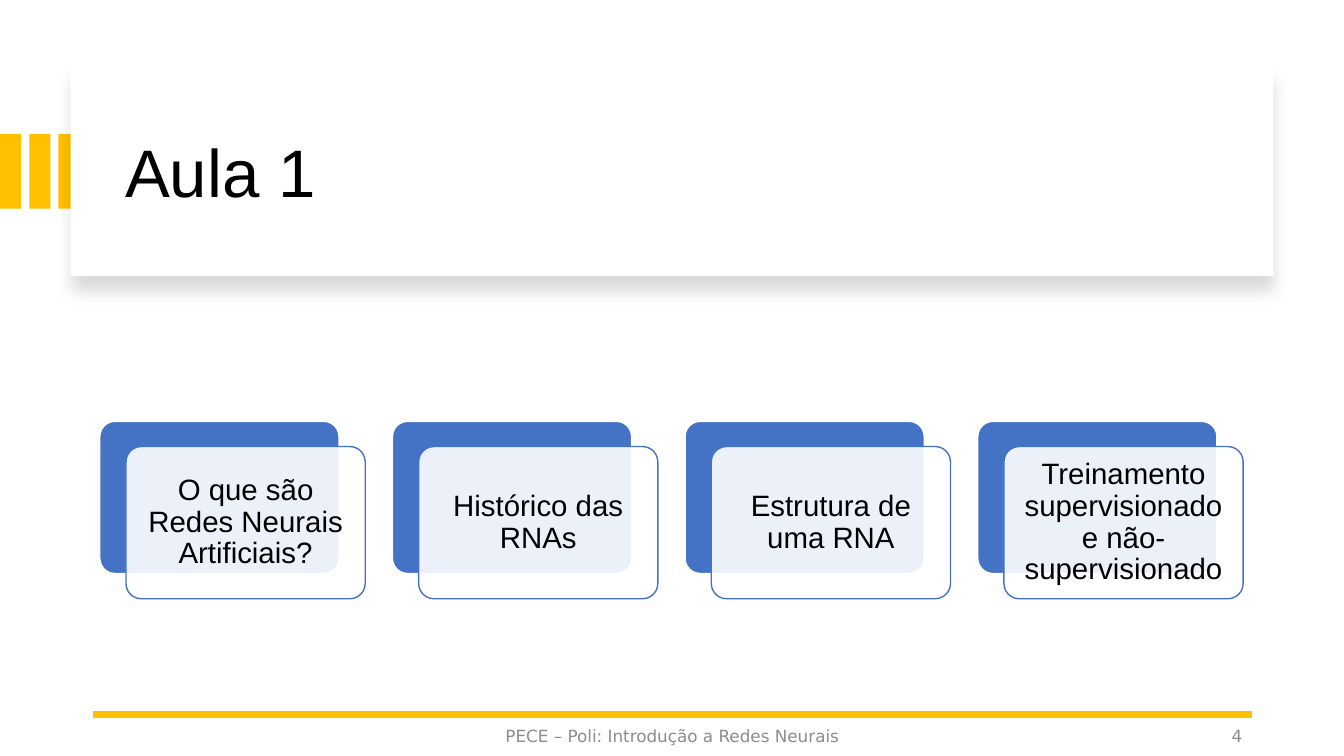
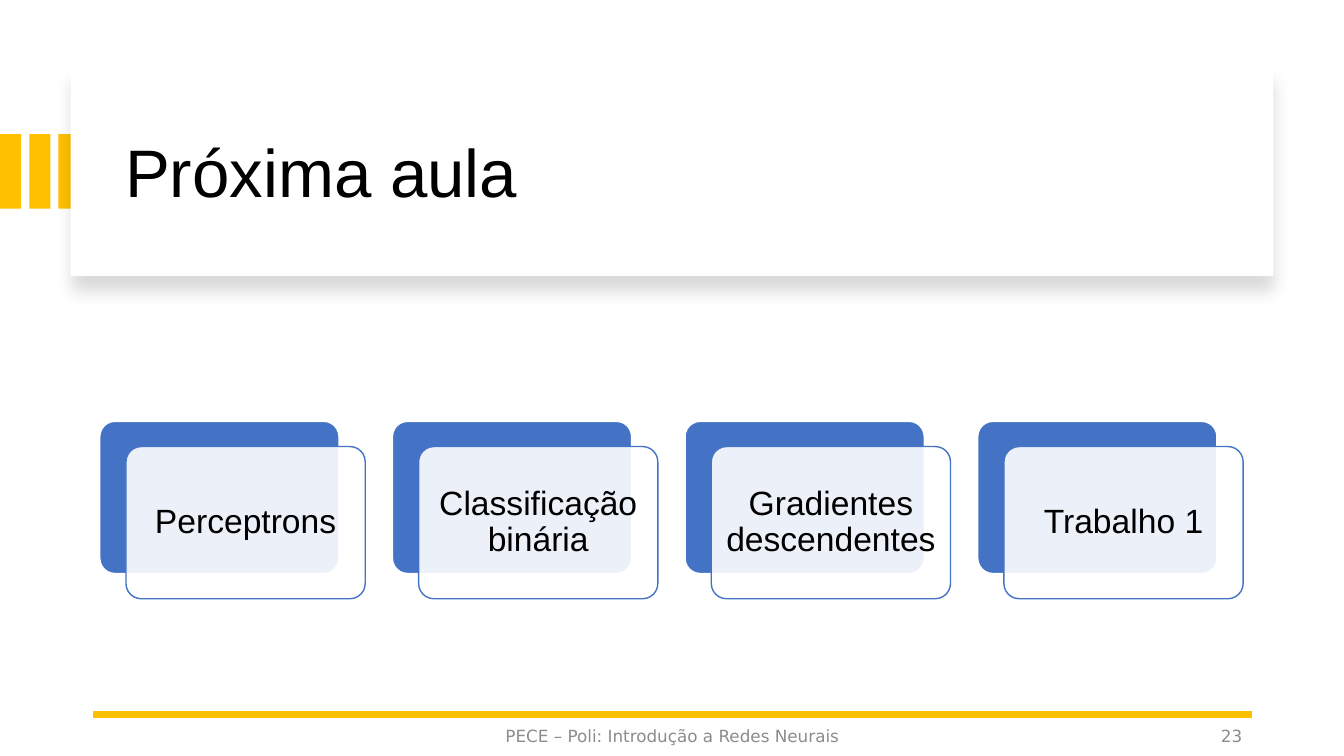
from lxml import etree
from pptx import Presentation
from pptx import util as u
from pptx.dml import color
from pptx.enum import shapes, text
from pptx.oxml import ns

In = u.Inches
GOLD, BLUE, WHITE, BLACK, GRAY = "FFC000", "4472C4", "FFFFFF", "000000", "8C8C8C"
FOOTER = "PECE – Poli: Introdução a Redes Neurais"
PANEL = (0.7, 0.67, 11.93, 2.07)
FOOT = (0.92, 7.1, 11.5, 0.4)
CARDS = (0.99, 4.18, 11.34, 1.76)
LEFT, CENTER, RIGHT = text.PP_ALIGN.LEFT, text.PP_ALIGN.CENTER, text.PP_ALIGN.RIGHT
RECT = shapes.MSO_SHAPE.RECTANGLE
ROUND = shapes.MSO_SHAPE.ROUNDED_RECTANGLE


def rgb(value):
    return color.RGBColor.from_string(value)


def sub(parent, tag, **attrs):
    return etree.SubElement(parent, ns.qn(tag), {k: str(v) for k, v in attrs.items()})


def write(sp, content, size=12, font="Arial", fill=BLACK, align=LEFT, spacing=None, inset=None):
    tf = sp.text_frame
    tf.word_wrap = True
    tf.auto_size = text.MSO_AUTO_SIZE.NONE
    tf.vertical_anchor = text.MSO_ANCHOR.MIDDLE
    if inset is not None:
        tf.margin_left = tf.margin_right = tf.margin_top = tf.margin_bottom = In(inset)
    p = tf.paragraphs[0]
    p.alignment = align
    if spacing:
        p.line_spacing = spacing
    r = p.add_run()
    r.text = content
    r.font.size = u.Pt(size)
    r.font.name = font
    r.font.color.rgb = rgb(fill)


def add_box(s, kind, box, fill, line=None, alpha=None):
    sp = s.shapes.add_shape(kind, *map(In, box))
    sp.shadow.inherit = False
    sp.fill.solid()
    sp.fill.fore_color.rgb = rgb(fill)
    if alpha:
        sub(sp.element.spPr.find(".//" + ns.qn("a:srgbClr")), "a:alpha", val=alpha * 1000)
    if line:
        sp.line.color.rgb = rgb(line)
        sp.line.width = u.Pt(1)
    else:
        sp.line.fill.background()
    if kind == ROUND:
        sp.adjustments[0] = 0.1
    return sp


def add_shadow(sp):
    effects = sp.element.spPr.find(ns.qn("a:effectLst"))
    shadow = sub(effects, "a:outerShdw", blurRad=u.Pt(11), dist=u.Pt(10),
                 dir=5400000, algn="t", rotWithShape=0)
    sub(sub(shadow, "a:srgbClr", val=BLACK), "a:alpha", val=15000)


def add_header(s, box, title):
    x, y, w, h = box
    for i in range(3):
        add_box(s, RECT, (i * 0.29, y + 0.66, 0.21, 0.74), GOLD)
    add_shadow(add_box(s, RECT, box, WHITE))
    sp = s.shapes.title
    sp.left, sp.top, sp.width, sp.height = map(In, (x + 0.44, y + 0.22, w - 0.8, h - 0.37))
    write(sp, title, size=48, spacing=0.9)
    sp.element.getparent().append(sp.element)


def add_footer(s, box, number):
    x, y, w, h = box
    rule = s.shapes.add_connector(shapes.MSO_CONNECTOR.STRAIGHT,
                                  In(x + w), In(y - 0.01), In(x), In(y - 0.01))
    rule.line.color.rgb = rgb(GOLD)
    rule.line.width = u.Pt(4.5)
    sub(rule.element.spPr, "a:effectLst")
    for left, width, content, align in ((x + 3.5, 4.5, FOOTER, CENTER),
                                        (x + w - 3, 3, str(number), RIGHT)):
        sp = s.shapes.add_textbox(In(left), In(y), In(width), In(h))
        write(sp, content, font="DejaVu Sans", fill=GRAY, align=align)


def add_cards(s, box, topics, size, inset):
    x, y, w, h = box
    dx, dy, gap = 0.26, 0.25, 0.27
    pitch = (w + gap) / len(topics)
    cw, ch = pitch - gap - dx, h - dy
    for i, topic in enumerate(topics):
        left = x + i * pitch
        add_box(s, ROUND, (left, y, cw, ch), BLUE, WHITE)
        card = add_box(s, ROUND, (left + dx, y + dy, cw, ch), WHITE, BLUE, 90)
        write(card, topic, size=size, align=CENTER, spacing=0.9, inset=inset)


def add_topics_slide(prs, title, number, topics, size, inset):
    s = prs.slides.add_slide(prs.slide_layouts[5])
    add_header(s, PANEL, title)
    add_footer(s, FOOT, number)
    add_cards(s, CARDS, topics, size, inset)


def main():
    prs = Presentation()
    prs.slide_width, prs.slide_height = In(13.33), In(7.5)
    add_topics_slide(prs, "Aula 1", 4, [
        "O que são Redes Neurais Artificiais?",
        "Histórico das RNAs",
        "Estrutura de uma RNA",
        "Treinamento supervisionado e não-supervisionado",
    ], 21, 0.09)
    add_topics_slide(prs, "Próxima aula", 23, [
        "Perceptrons",
        "Classificação binária",
        "Gradientes descendentes",
        "Trabalho 1",
    ], 24, 0.1)
    prs.save("out.pptx")


if __name__ == "__main__":
    main()
